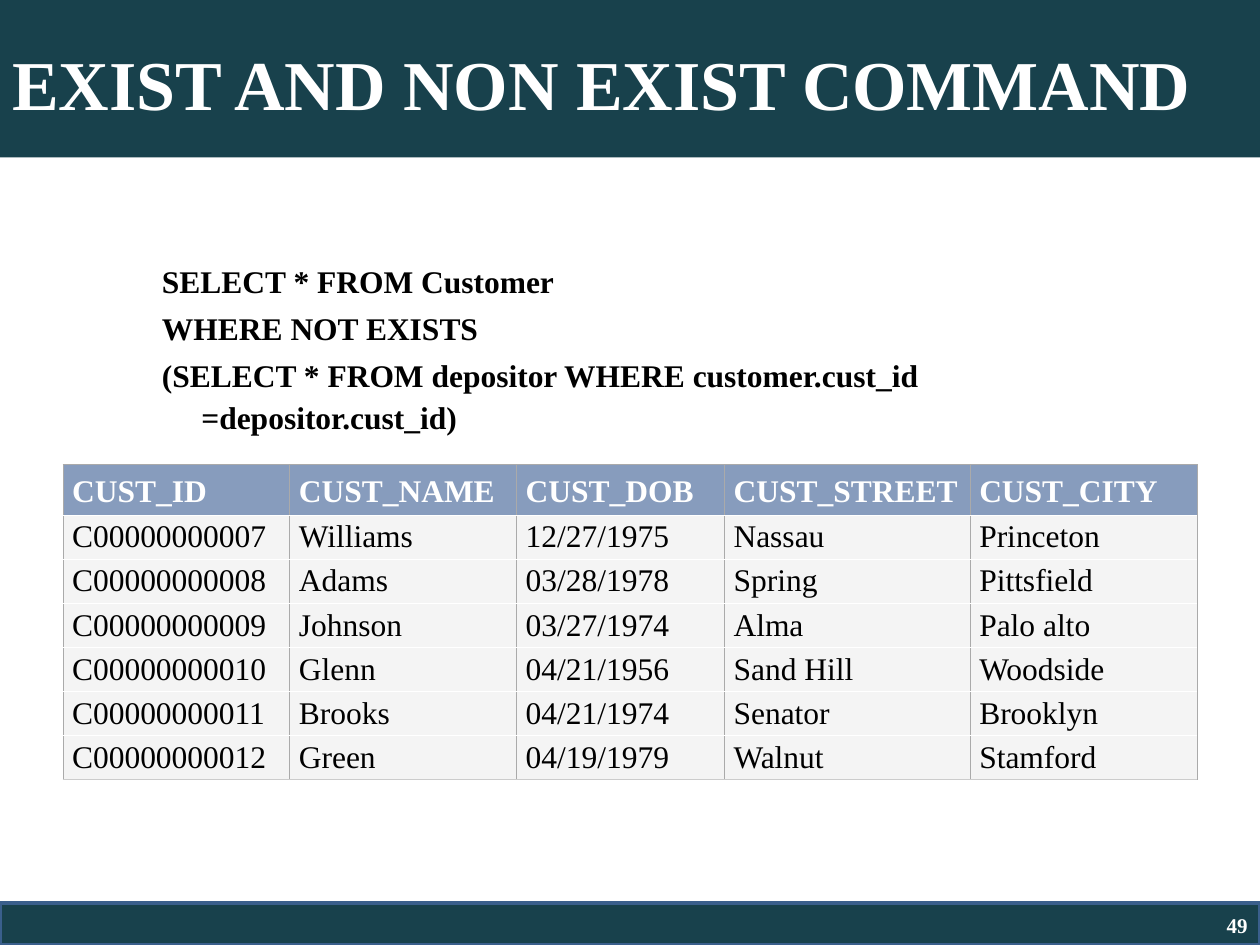
import pptx
import pptx.util
import pptx.dml.color
import pptx.enum.shapes
import pptx.enum.text
import pptx.oxml
from lxml import etree
from dataclasses import dataclass

Pt = pptx.util.Pt
Color = pptx.dml.color.RGBColor.from_string
Anchor = pptx.enum.text.MSO_ANCHOR
Align = pptx.enum.text.PP_ALIGN
RECTANGLE = pptx.enum.shapes.MSO_SHAPE.RECTANGLE


@dataclass(frozen=True)
class Theme:
    font: str = "Times New Roman"
    bar: str = "18414C"
    bar_line: str = "3A5F8C"
    light: str = "FFFFFF"
    dark: str = "000000"
    header_fill: str = "879CBD"
    row_fill: str = "F4F4F4"
    grid: str = "AAAAAA"
    table_end: str = "CCCCCC"
    title_size: int = 40
    text_size: int = 18
    number_size: int = 12


theme = Theme()


def write(para, text, size, color, bold=True, **layout):
    span = para.add_run()
    span.text = text
    span.font.color.rgb = Color(color)
    for name, value in {"name": theme.font, "size": Pt(size), "bold": bold}.items():
        setattr(span.font, name, value)
    for name, value in layout.items():
        setattr(para, name, value)


def add_border(cell, side, color):
    """Draw one cell edge; side is L, R, T or B, called in that order before the fill is set."""
    edge = pptx.oxml.parse_xml(
        '<a:ln%s xmlns:a="http://schemas.openxmlformats.org/drawingml/2006/main" w="%d">'
        '<a:solidFill><a:srgbClr val="%s"/></a:solidFill></a:ln%s>'
        % (side, Pt(0.6), color, side))
    cell._tc.get_or_add_tcPr().append(edge)


deck = pptx.Presentation()
deck.slide_width, deck.slide_height = Pt(720), Pt(540)
page = deck.slides.add_slide(deck.slide_layouts[6])

# Bars
footer, title = [page.shapes.add_shape(RECTANGLE, Pt(0), Pt(top), Pt(720), Pt(height))
                 for top, height in ((516, 24), (0, 90))]
for bar in (footer, title):
    bar.shadow.inherit = False
    bar.fill.solid()
    bar.fill.fore_color.rgb = Color(theme.bar)
footer.line.color.rgb = Color(theme.bar_line)
footer.line.width = Pt(2)
title.line.fill.background()
title.text_frame.word_wrap = True
title.text_frame.vertical_anchor = Anchor.MIDDLE
write(title.text_frame.paragraphs[0], "EXIST AND NON EXIST COMMAND", theme.title_size,
      theme.light, alignment=Align.LEFT, line_spacing=1.1)

# Query
query = page.shapes.add_textbox(Pt(49.5), Pt(144), Pt(621), Pt(342)).text_frame
query.word_wrap = True
query_lines = [
    "SELECT * FROM Customer",
    "WHERE NOT EXISTS",
    "(SELECT * FROM depositor WHERE customer.cust_id =depositor.cust_id)",
]
for index, line in enumerate(query_lines):
    para = query.add_paragraph() if index else query.paragraphs[0]
    indents = para._p.get_or_add_pPr()
    indents.set("marL", str(Pt(58.5)))
    indents.set("indent", str(Pt(-22.5)))
    write(para, line, theme.text_size, theme.dark, line_spacing=1.1,
          space_before=Pt(3.2 if index else 0))

# Page number
number = page.shapes.add_textbox(Pt(552), Pt(516), Pt(168), Pt(24)).text_frame
number.word_wrap = True
number.vertical_anchor = Anchor.MIDDLE
write(number.paragraphs[0], "49", theme.number_size, theme.light,
      alignment=Align.RIGHT, line_spacing=1.1)

# Customer table
customers = [
    ("CUST_ID", "CUST_NAME", "CUST_DOB", "CUST_STREET", "CUST_CITY"),
    ("C00000000007", "Williams", "12/27/1975", "Nassau", "Princeton"),
    ("C00000000008", "Adams", "03/28/1978", "Spring", "Pittsfield"),
    ("C00000000009", "Johnson", "03/27/1974", "Alma", "Palo alto"),
    ("C00000000010", "Glenn", "04/21/1956", "Sand Hill", "Woodside"),
    ("C00000000011", "Brooks", "04/21/1974", "Senator", "Brooklyn"),
    ("C00000000012", "Green", "04/19/1979", "Walnut", "Stamford"),
]
column_widths = [129.6, 129.6, 118.8, 140.4, 129.6]
header_height, row_height = 27.2, 23.5
last = len(customers) - 1
table = page.shapes.add_table(
    len(customers), len(column_widths), Pt(36), Pt(265.5),
    Pt(sum(column_widths)), Pt(header_height + last * row_height)).table
for column, width in zip(table.columns, column_widths):
    column.width = Pt(width)
for row, values in enumerate(customers):
    is_header = row == 0
    table.rows[row].height = Pt(header_height if is_header else row_height)
    margin = Pt(3.6 if is_header else 1.8)
    cell_format = {
        "margin_left": Pt(5.2), "margin_right": Pt(5.2),
        "margin_top": margin, "margin_bottom": margin,
        "vertical_anchor": Anchor.BOTTOM if is_header else Anchor.MIDDLE,
    }
    borders = {
        "L": theme.grid, "R": theme.grid,
        "T": theme.grid if is_header else theme.light,
        "B": theme.table_end if row == last else theme.light,
    }
    for column, value in enumerate(values):
        cell = table.cell(row, column)
        for name, setting in cell_format.items():
            setattr(cell, name, setting)
        for side, color in borders.items():
            add_border(cell, side, color)
        cell.fill.solid()
        cell.fill.fore_color.rgb = Color(theme.header_fill if is_header else theme.row_fill)
        write(cell.text_frame.paragraphs[0], value, theme.text_size,
              theme.light if is_header else theme.dark, bold=is_header)

deck.save("out.pptx")
